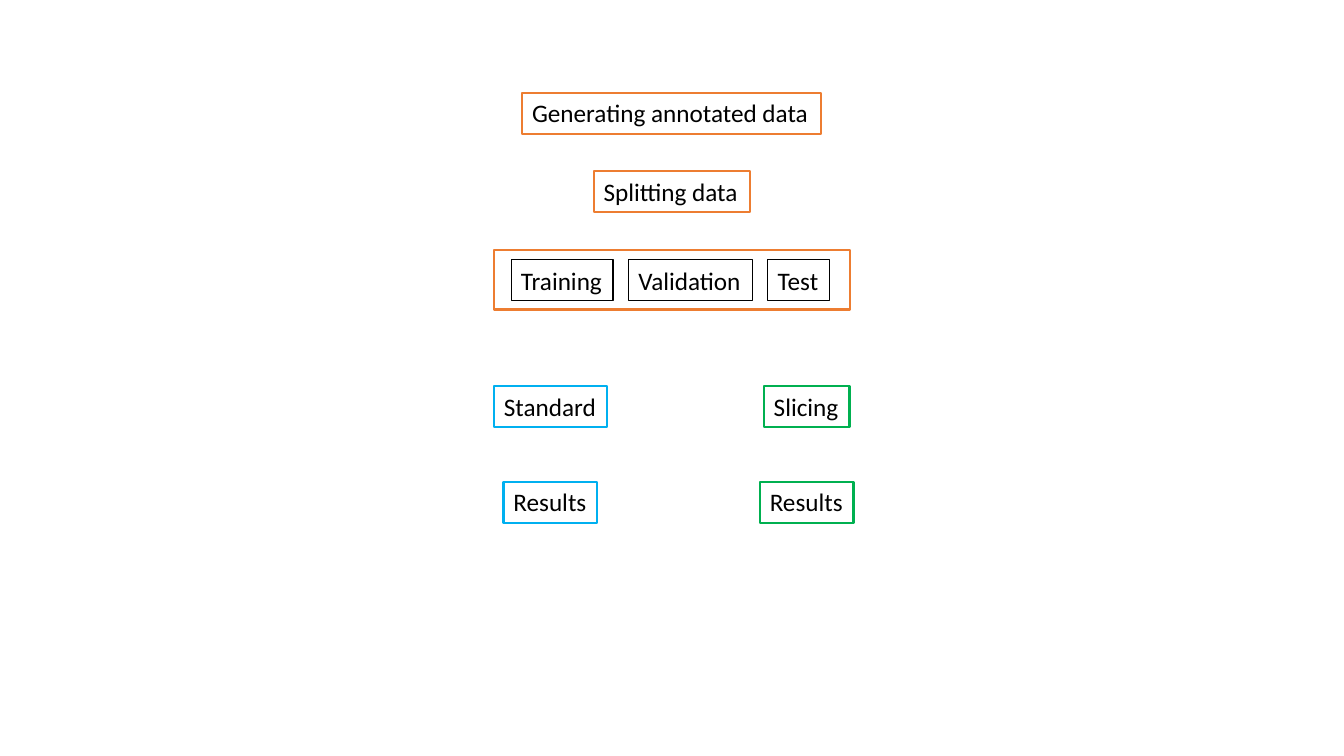
from pptx import Presentation
from pptx.dml.color import RGBColor
from pptx.enum.shapes import MSO_SHAPE
from pptx.enum.text import MSO_AUTO_SIZE
from pptx.util import Cm, Pt

RECTANGLE = MSO_SHAPE.RECTANGLE
FIT_SHAPE = MSO_AUTO_SIZE.SHAPE_TO_FIT_TEXT

BLACK, ORANGE, BLUE, GREEN = "000000", "ED7D31", "00B0F0", "00B050"
LABEL_HEIGHT = 1.03
MIDDLE, STANDARD_CENTRE, SLICING_CENTRE = 16.93, 13.87, 20.33
SPLIT_LEFT, SPLIT_TOP, SPLIT_GAP = 12.88, 6.55, 0.39

STEPS = [
    ("Generating annotated data", MIDDLE, 2.34, 7.54, ORANGE),
    ("Splitting data", MIDDLE, 4.32, 3.94, ORANGE),
    ("Standard", STANDARD_CENTRE, 9.73, 2.84, BLUE),
    ("Slicing", SLICING_CENTRE, 9.73, 2.16, GREEN),
    ("Results", STANDARD_CENTRE, 12.14, 2.36, BLUE),
    ("Results", SLICING_CENTRE, 12.14, 2.36, GREEN),
]
SPLITS = [("Training", 2.57), ("Validation", 3.12), ("Test", 1.55)]


def colour(hex_string):
    return RGBColor.from_string(hex_string)


def set_attributes(target, values):
    for name, value in values.items():
        setattr(target, name, value)


def outline(shape, line_colour, width):
    shape.fill.background()
    shape.line.color.rgb = colour(line_colour)
    shape.line.width = Pt(width)


def add_label(slide, text, left, top, width, line_colour, line_width=1.5):
    shape = slide.shapes.add_textbox(Cm(left), Cm(top), Cm(width), Cm(LABEL_HEIGHT))
    outline(shape, line_colour, line_width)
    set_attributes(shape.text_frame, {"word_wrap": False, "auto_size": FIT_SHAPE})
    paragraph = shape.text_frame.paragraphs[0]
    run = paragraph.add_run()
    run.text = text
    set_attributes(run.font, {"name": "Calibri", "size": Pt(18)})
    run.font.color.rgb = colour(BLACK)


def add_frame(slide, centre, top, width, height, line_colour):
    shape = slide.shapes.add_shape(
        RECTANGLE, Cm(centre - width / 2), Cm(top), Cm(width), Cm(height))
    shape.shadow.inherit = False
    outline(shape, line_colour, 1.5)


def add_splits(slide):
    left = SPLIT_LEFT
    for text, width in SPLITS:
        add_label(slide, text, left, SPLIT_TOP, width, BLACK, 0.75)
        left += width + SPLIT_GAP
    add_frame(slide, MIDDLE, 6.3, 8.97, 1.5, ORANGE)


def main():
    presentation = Presentation()
    set_attributes(presentation, {"slide_width": Cm(33.87), "slide_height": Cm(19.05)})
    slide = presentation.slides.add_slide(presentation.slide_layouts[6])
    for text, centre, top, width, line_colour in STEPS:
        add_label(slide, text, centre - width / 2, top, width, line_colour)
    add_splits(slide)
    presentation.save("out.pptx")


if __name__ == "__main__":
    main()
